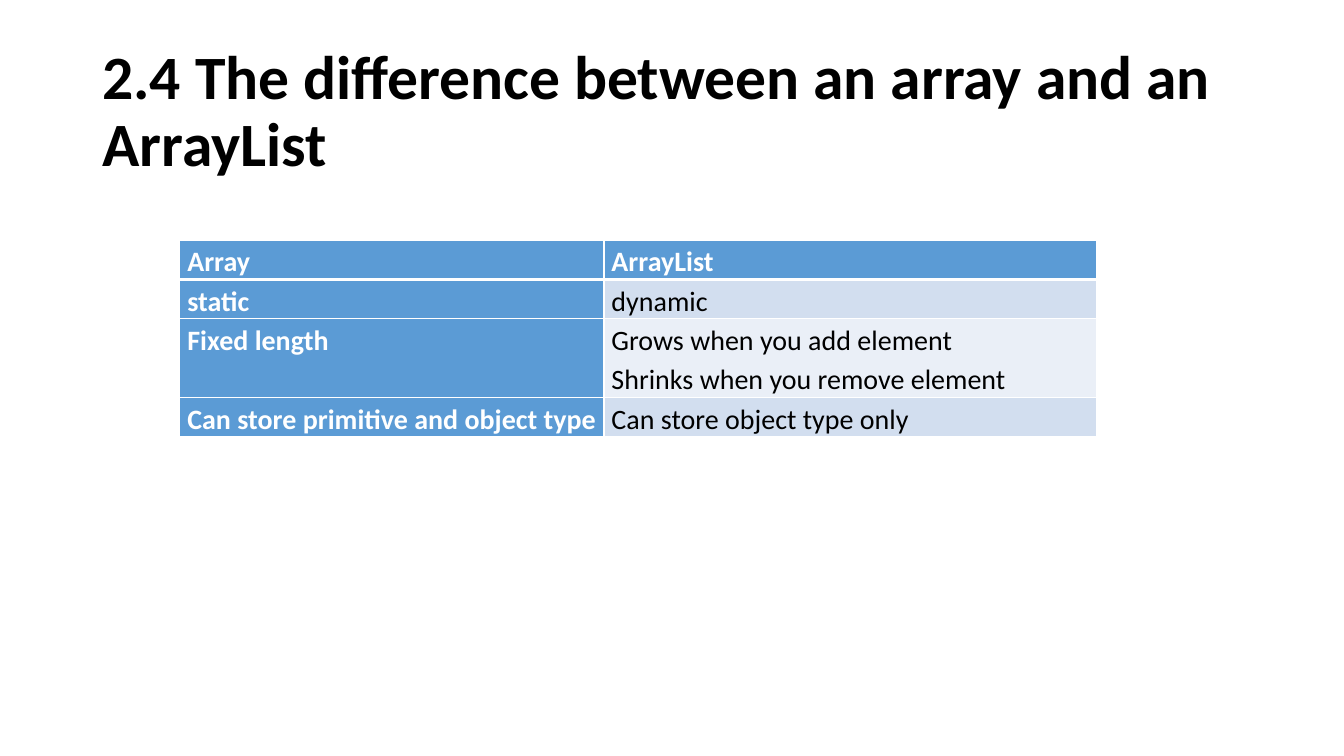
from lxml.etree import SubElement as Sub
from pptx import Presentation
from pptx.dml.color import RGBColor
from pptx.enum.text import MSO_ANCHOR as Anchor
from pptx.oxml.ns import qn
from pptx.util import Cm, Pt

BLACK = RGBColor(0x00, 0x00, 0x00)
WHITE = RGBColor(0xFF, 0xFF, 0xFF)
BLUE = RGBColor(0x5B, 0x9B, 0xD5)
BANDS = [RGBColor(0xEA, 0xEF, 0xF7), RGBColor(0xD2, 0xDE, 0xEF)]

TITLE = "2.4 The difference between an array and an ArrayList"
ROWS = [
    ("Array", "ArrayList"),
    ("static", "dynamic"),
    ("Fixed length", "Grows when you add element\nShrinks when you remove element"),
    ("Can store primitive and object type", "Can store object type only"),
]
WIDTHS = [Cm(10.69), Cm(12.42)]
LINE = Cm(0.99)


def put(obj, values):
    for name, value in values.items():
        setattr(obj, name, value)


def write(frame, text, size, color, bold, space):
    frame.text = text
    for para in frame.paragraphs:
        para.line_spacing = space
        for run in para.runs:
            put(run.font, {"name": "Calibri", "size": Pt(size), "bold": bold})
            run.font.color.rgb = color


def edge(cell, side, width):
    props = cell._tc.get_or_add_tcPr()
    line = Sub(props, qn("a:ln" + side), w=str(Pt(width)))
    fill = Sub(line, qn("a:solidFill"))
    Sub(fill, qn("a:srgbClr"), val=str(WHITE))


def add_title(slide):
    box = slide.shapes.add_textbox(Cm(2.33), Cm(1.01), Cm(29.21), Cm(3.68))
    put(box.text_frame, {"word_wrap": True, "vertical_anchor": Anchor.MIDDLE})
    write(box.text_frame, TITLE, 44, BLACK, True, 0.9)


def fill_cell(cell, row, col, text):
    head = row == 0 or col == 0
    put(cell, {"margin_left": Cm(0.19), "margin_right": Cm(0.19),
               "margin_top": 0, "margin_bottom": 0})
    # The rule under the header row is thicker
    thick = {(0, "B"), (1, "T")}
    for side in "LRTB":
        edge(cell, side, 3 if (row, side) in thick else 1)
    cell.fill.solid()
    cell.fill.fore_color.rgb = BLUE if head else BANDS[row % 2]
    write(cell.text_frame, text, 20, WHITE if head else BLACK, head, 1.15)


def add_grid(slide):
    lines = [max(text.count("\n") + 1 for text in texts) for texts in ROWS]
    frame = slide.shapes.add_table(len(ROWS), len(WIDTHS), Cm(4.53), Cm(6.05),
                                   sum(WIDTHS), LINE * sum(lines))
    table = frame.table
    put(table, {"first_col": True, "first_row": True})
    for col, width in enumerate(WIDTHS):
        table.columns[col].width = width
    for row, texts in enumerate(ROWS):
        table.rows[row].height = LINE * lines[row]
        for col, text in enumerate(texts):
            fill_cell(table.cell(row, col), row, col, text)


def main():
    deck = Presentation()
    put(deck, {"slide_width": Cm(33.87), "slide_height": Cm(19.05)})
    slide = deck.slides.add_slide(deck.slide_layouts[6])
    # Heading
    add_title(slide)
    # Comparison table
    add_grid(slide)
    deck.save("out.pptx")


if __name__ == "__main__":
    main()
